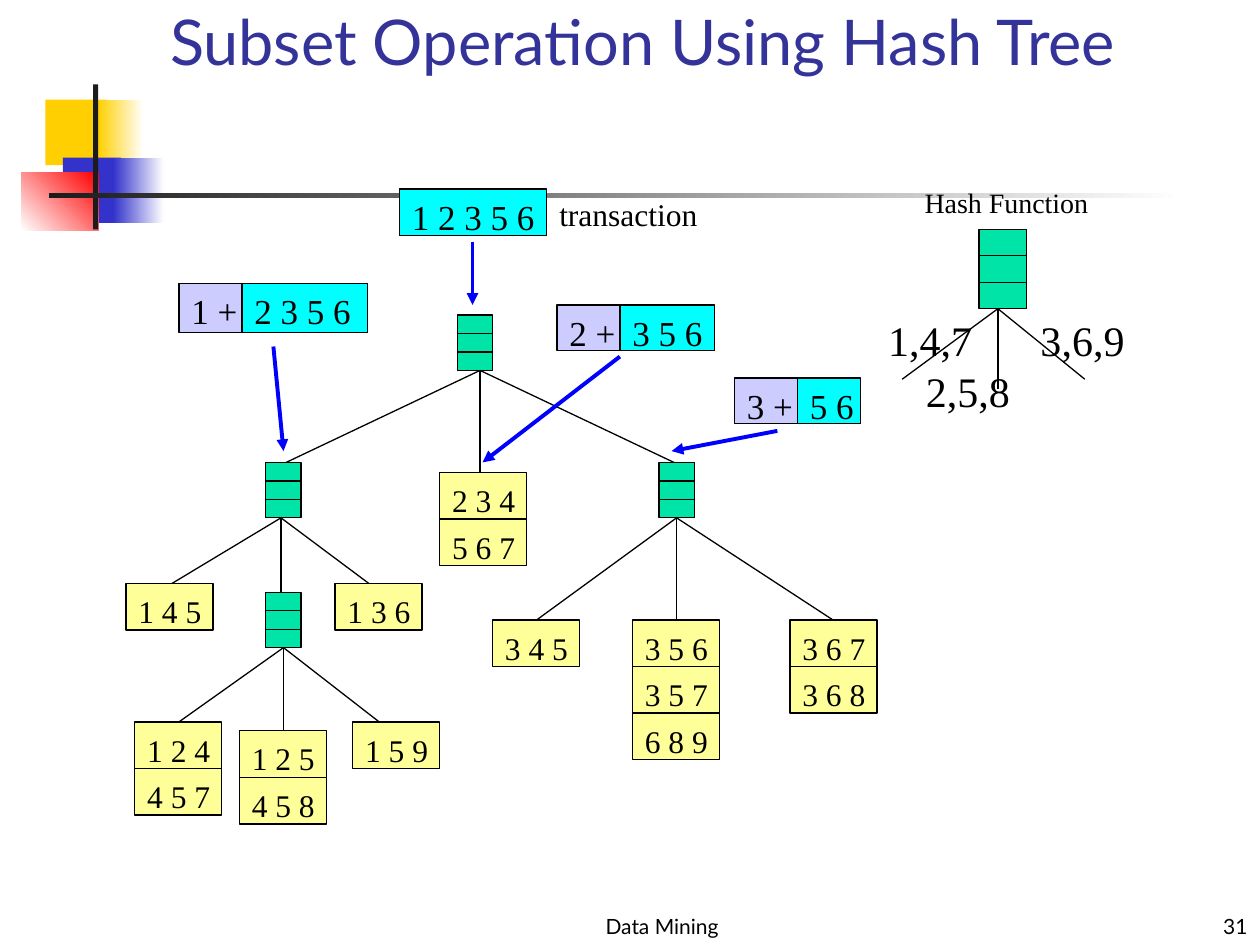
from typing import NamedTuple

from lxml.etree import SubElement
from pptx import Presentation
from pptx.dml.color import RGBColor
from pptx.enum.shapes import MSO_CONNECTOR, MSO_SHAPE
from pptx.enum.text import MSO_ANCHOR, MSO_AUTO_SIZE, PP_ALIGN
from pptx.oxml.ns import qn
from pptx.util import Inches, Pt

COLORS = {
    "black": "000000", "white": "FFFFFF", "charcoal": "1C1C1C", "title": "333399",
    "gold": "FFCF01", "indigo": "3333CC", "red": "FF0000", "arrow": "0000FF",
    "node": "00E4A8", "leaf": "FFFF99", "prefix": "CCCCFF", "items": "00FFFF",
}
SERIF, SANS = "Times New Roman", "Lato"
ROW_HEIGHT, LEAF_WIDTH = 0.37, 0.69


class Block(NamedTuple):
    left: float
    top: float
    width: float
    height: float
    color: str
    end_color: str = ""
    angle: float = 0


class Node(NamedTuple):
    left: float
    top: float
    width: float = 0.28
    height: float = 0.44


class Fan(NamedTuple):
    start: tuple[float, float]
    ends: list[tuple[float, float]]


class Leaf(NamedTuple):
    left: float
    top: float
    itemsets: list[str]


class Chip(NamedTuple):
    block: Block
    text: str
    text_width: float


class Label(NamedTuple):
    text: str
    left: float
    top: float
    width: float
    height: float
    size: float


DECORATION = [
    Block(0.36, 0.79, 0.48, 0.52, "gold"),
    Block(0.78, 0.79, 0.36, 0.52, "gold", "white"),
    Block(0.5, 1.25, 0.46, 0.52, "indigo"),
    Block(0.9, 1.25, 0.4, 0.52, "indigo", "white"),
    Block(0.17, 1.37, 0.61, 0.46, "white", "red", 45),
    Block(0.74, 0.67, 0.04, 1.15, "charcoal"),
    Block(0.39, 1.53, 9, 0.04, "charcoal", "white"),
]
FANS = [
    Fan((3.81, 2.94), [(2.25, 3.68), (3.81, 3.75), (5.37, 3.68)]),
    Fan((2.23, 4.11), [(1.35, 4.64), (2.23, 4.7), (2.94, 4.64)]),
    Fan((5.37, 4.11), [(4.26, 4.92), (5.37, 4.92), (6.61, 4.92)]),
    Fan((2.25, 5.14), [(1.42, 5.73), (2.25, 5.8), (3.01, 5.73)]),
    Fan((7.92, 2.45), [(7.16, 3.01), (7.92, 3.09), (8.61, 3.01)]),
]
NODES = [Node(3.63, 2.5), Node(2.11, 3.67), Node(5.23, 3.67), Node(2.11, 4.7),
         Node(7.77, 1.82, 0.38, 0.63)]
LEAVES = [
    Leaf(1, 4.63, ["1 4 5"]),
    Leaf(2.66, 4.63, ["1 3 6"]),
    Leaf(1.07, 5.73, ["1 2 4", "4 5 7"]),
    Leaf(1.9, 5.8, ["1 2 5", "4 5 8"]),
    Leaf(2.8, 5.73, ["1 5 9"]),
    Leaf(3.49, 3.75, ["2 3 4", "5 6 7"]),
    Leaf(3.91, 4.92, ["3 4 5"]),
    Leaf(5.02, 4.92, ["3 5 6", "3 5 7", "6 8 9"]),
    Leaf(6.27, 4.92, ["3 6 7", "3 6 8"]),
]
CHIPS = [
    Chip(Block(3.17, 1.5, 1.17, 0.37, "items"), "1 2 3 5 6", 1.17),
    Chip(Block(1.42, 2.25, 0.75, 0.39, "prefix"), "1 +", 0.56),
    Chip(Block(1.92, 2.25, 1, 0.39, "items"), "2 3 5 6", 0.96),
    Chip(Block(4.92, 2.42, 0.75, 0.36, "items"), "3 5 6", 0.75),
    Chip(Block(4.42, 2.42, 0.5, 0.36, "prefix"), "2 +", 0.56),
    Chip(Block(6.33, 3, 0.5, 0.36, "items"), "5 6", 0.55),
    Chip(Block(5.83, 3, 0.5, 0.36, "prefix"), "3 +", 0.56),
]
ARROWS = [
    ((3.75, 1.92), (3.75, 2.42)),
    ((2.17, 2.75), (2.25, 3.58)),
    ((4.92, 2.83), (3.83, 3.67)),
    ((6.17, 3.42), (5.33, 3.58)),
]
LABELS = [
    Label("1,4,7", 6.95, 2.45, 0.86, 0.5, 24),
    Label("2,5,8", 7.25, 2.85, 0.86, 0.5, 24),
    Label("3,6,9", 8.16, 2.45, 0.86, 0.5, 24),
    Label("Hash Function", 7.24, 1.42, 1.5, 0.37, 16),
    Label("transaction", 4.34, 1.5, 1.29, 0.4, 18),
]


def rgb(name: str) -> RGBColor:
    return RGBColor.from_string(COLORS[name])


def write(shape, text: str, *, size: float, font: str = SERIF, color: str = "black",
          align=PP_ALIGN.LEFT, anchor=MSO_ANCHOR.TOP, right_inset: float = 0) -> None:
    frame = shape.text_frame
    frame.text = text
    frame.word_wrap = True
    frame.auto_size = MSO_AUTO_SIZE.NONE
    frame.vertical_anchor = anchor
    frame.margin_left, frame.margin_right = Inches(0.1), Inches(right_inset)
    frame.margin_top = frame.margin_bottom = Inches(0.05)
    paragraph = frame.paragraphs[0]
    paragraph.alignment = align
    paragraph.font.size, paragraph.font.name = Pt(size), font
    paragraph.font.color.rgb = rgb(color)


def add_label(slide, text: str, left: float, top: float, width: float, height: float,
              **text_format) -> None:
    box = slide.shapes.add_textbox(*map(Inches, (left, top, width, height)))
    write(box, text, **text_format)


def add_block(slide, block: Block, outlined: bool = True) -> None:
    shape = slide.shapes.add_shape(MSO_SHAPE.RECTANGLE, *map(Inches, block[:4]))
    shape.shadow.inherit = False
    if block.end_color:
        shape.fill.gradient()
        shape.fill.gradient_angle = block.angle
        for stop, color in zip(shape.fill.gradient_stops, (block.color, block.end_color)):
            stop.color.rgb = rgb(color)
    else:
        shape.fill.solid()
        shape.fill.fore_color.rgb = rgb(block.color)
    if outlined:
        shape.line.color.rgb = rgb("black")
        shape.line.width = Pt(0.75)
    else:
        shape.line.fill.background()


def add_line(slide, start: tuple[float, float], end: tuple[float, float], *,
             color: str = "black", width: float = 0.75, arrow: bool = False) -> None:
    line = slide.shapes.add_connector(MSO_CONNECTOR.STRAIGHT, *map(Inches, (*start, *end)))
    line.line.color.rgb = rgb(color)
    line.line.width = Pt(width)
    if arrow:
        SubElement(line.line._get_or_add_ln(), qn("a:tailEnd"), type="triangle")
    SubElement(line._element.spPr, qn("a:effectLst"))


def add_node(slide, node: Node) -> None:
    add_block(slide, Block(*node, "node"))
    for third in (1, 2):
        y = node.top + node.height * third / 3
        add_line(slide, (node.left, y), (node.left + node.width, y))


def add_leaf(slide, leaf: Leaf) -> None:
    for row, itemset in enumerate(leaf.itemsets):
        top = leaf.top + row * ROW_HEIGHT
        add_block(slide, Block(leaf.left, top, LEAF_WIDTH, ROW_HEIGHT, "leaf"))
        add_label(slide, itemset, leaf.left, top + 0.02, 0.7, 0.4, size=18)


def main() -> None:
    presentation = Presentation()
    presentation.slide_width, presentation.slide_height = Inches(10), Inches(7.5)
    slide = presentation.slides.add_slide(presentation.slide_layouts[5])

    # Corner decoration and title
    for block in DECORATION:
        add_block(slide, block, outlined=False)
    title = slide.shapes.title
    title.left, title.top, title.width, title.height = map(Inches, (1.25, 0, 8.52, 0.67))
    write(title, "Subset Operation Using Hash Tree", size=36, font=SANS, color="title",
          anchor=MSO_ANCHOR.BOTTOM, right_inset=0.1)

    # Hash tree and hash function
    for fan in FANS:
        for end in fan.ends:
            add_line(slide, fan.start, end)
    for node in NODES:
        add_node(slide, node)
    for leaf in LEAVES:
        add_leaf(slide, leaf)

    # Transaction, its prefixes and where they go
    for chip in CHIPS:
        add_block(slide, chip.block)
        add_label(slide, chip.text, chip.block.left, chip.block.top, chip.text_width, 0.44, size=20)
    for start, end in ARROWS:
        add_line(slide, start, end, color="arrow", width=2.25, arrow=True)
    for label in LABELS:
        add_label(slide, *label[:5], size=label.size)

    # Footer
    footer = dict(size=12, font=SANS, anchor=MSO_ANCHOR.BOTTOM, right_inset=0.1)
    add_label(slide, "Data Mining", 3.67, 7.08, 3.17, 0.42, align=PP_ALIGN.CENTER, **footer)
    add_label(slide, "31", 7.92, 7.08, 2.08, 0.42, align=PP_ALIGN.RIGHT, **footer)

    presentation.save("out.pptx")


if __name__ == "__main__":
    main()
